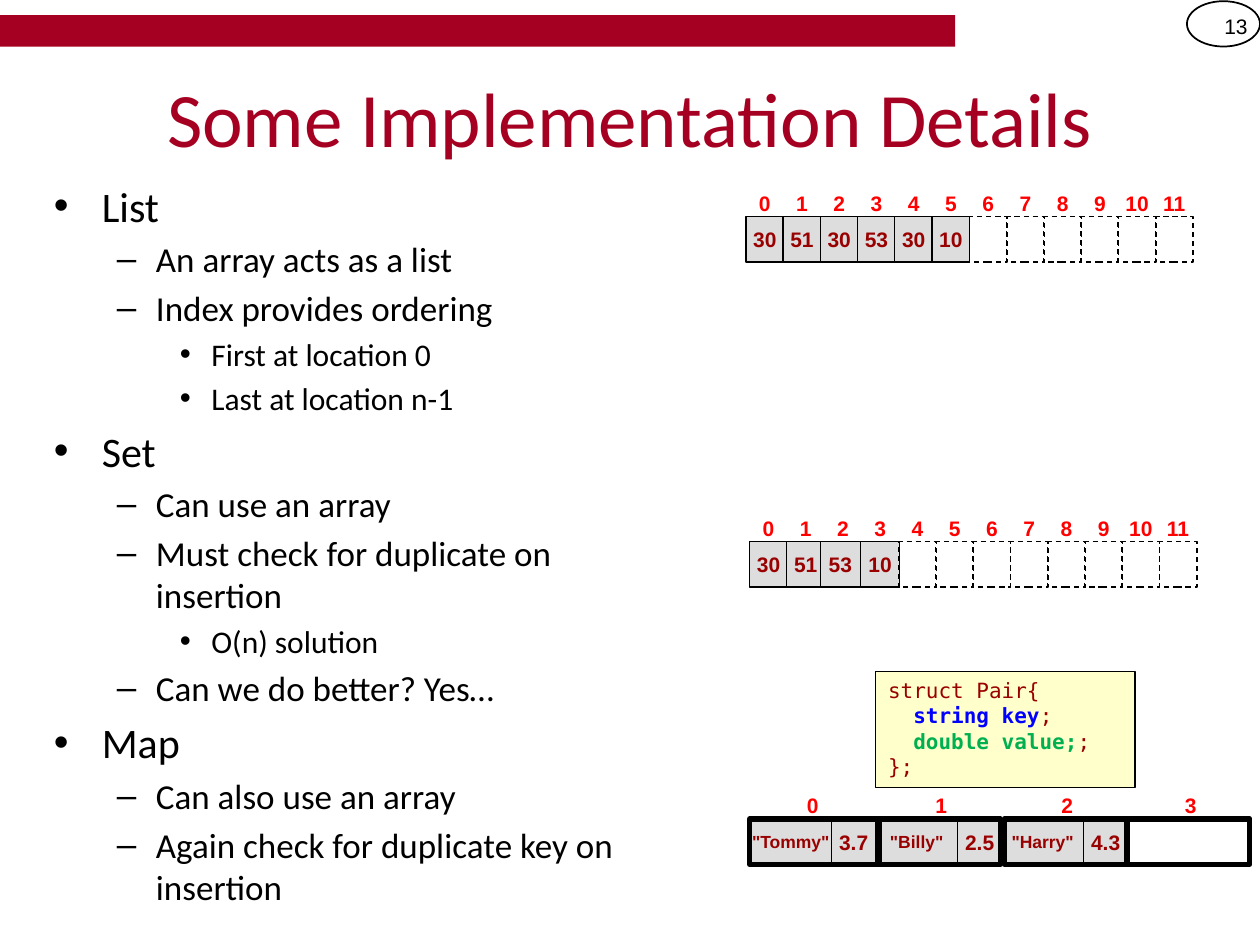
from pptx import Presentation
from pptx.util import Inches, Pt
from pptx.dml.color import RGBColor as RGB
from pptx.enum.shapes import MSO_SHAPE as Shape
from pptx.enum.text import PP_ALIGN as Align, MSO_ANCHOR as Anchor
from pptx.enum.dml import MSO_LINE as Dash
from lxml.etree import SubElement
from pptx.oxml.ns import qn

hues = {"brand": "A50021", "ink": "000000", "cell": "DDDDDD", "value": "990000",
        "index": "FF0000", "note": "FFFFCC", "key": "0000FF", "item": "00B050"}

deck = Presentation()
deck.slide_width, deck.slide_height = Inches(10), Inches(7.5)
slide = deck.slides.add_slide(deck.slide_layouts[6])


def write(par, text, size, hue, name="Arial", bold=False):
    run = par.add_run()
    run.text = text
    form = {"size": Pt(size), "name": name, "bold": bold}
    for key, val in form.items():
        setattr(run.font, key, val)
    run.font.color.rgb = RGB.from_string(hues[hue])


def draw(at, kind=None, fill=None, line=None, dash=None, text=None, size=12,
         hue="value", name="Arial", bold=True, align=Align.CENTER, wrap=False):
    spot = [Inches(val) for val in at]
    if kind is None:
        shape = slide.shapes.add_textbox(*spot)
    else:
        shape = slide.shapes.add_shape(kind, *spot)
        shape.shadow.inherit = False
        if fill:
            shape.fill.solid()
            shape.fill.fore_color.rgb = RGB.from_string(hues[fill])
        else:
            shape.fill.background()
        if line:
            shape.line.color.rgb = RGB.from_string(hues["ink"])
            shape.line.width = Pt(line)
            shape.line.dash_style = dash
        else:
            shape.line.fill.background()
    side, edge = (0.1, 0.05) if wrap else (0, 0)
    form = {"word_wrap": wrap, "vertical_anchor": Anchor.MIDDLE,
            "margin_left": Inches(side), "margin_right": Inches(side),
            "margin_top": Inches(edge), "margin_bottom": Inches(edge)}
    for key, val in form.items():
        setattr(shape.text_frame, key, val)
    if text:
        par = shape.text_frame.paragraphs[0]
        par.alignment = align
        write(par, text, size, hue, name, bold)
    return shape


draw((9.42, 0.01, 0.58, 0.4), text="13", hue="ink", bold=False,
     align=Align.RIGHT, wrap=True)
draw((0, 0.12, 7.58, 0.25), Shape.RECTANGLE, "brand")
draw((9.42, 0.01, 0.58, 0.36), Shape.OVAL, line=1)
draw((0.5, 0.3, 9, 1.25), text="Some Implementation Details", size=44,
     hue="brand", name="Calibri", bold=False, wrap=True)

points = [
    (0, "List"),
    (1, "An array acts as a list"),
    (1, "Index provides ordering"),
    (2, "First at location 0"),
    (2, "Last at location n-1"),
    (0, "Set"),
    (1, "Can use an array"),
    (1, "Must check for duplicate on insertion"),
    (2, "O(n) solution"),
    (1, "Can we do better? Yes…"),
    (0, "Map"),
    (1, "Can also use an array"),
    (1, "Again check for duplicate key on insertion"),
]
ranks = [(24, 0.38, 0.38, "•"), (20, 0.81, 0.31, "–"), (18, 1.25, 0.25, "•")]
body = draw((0.33, 1.38, 5.17, 5.83), wrap=True).text_frame
body.vertical_anchor = Anchor.TOP
for num, (level, text) in enumerate(points):
    size, left, hang, mark = ranks[level]
    par = body.add_paragraph() if num else body.paragraphs[0]
    par.level = level
    par.space_before = Pt(size * 0.2)
    props = par._p.get_or_add_pPr()
    props.set("marL", str(Inches(left)))
    props.set("indent", str(-Inches(hang)))
    SubElement(props, qn("a:buFont")).set("typeface", "Arial")
    SubElement(props, qn("a:buChar")).set("char", mark)
    write(par, text, size, "ink", "Calibri")

step, wide, high = 3.25 / 11, 0.3, 0.36
rows = [
    (5.92, 1.72, ["30", "51", "30", "53", "30", "10"], {}),
    (5.95, 4.3, ["30", "51", "53", "10"], {2: (6.51, 0.32), 3: (6.83, 0.31)}),
]
for left, top, vals, odd in rows:
    for num in range(12):
        x = left + num * step
        draw((x, top - 0.22, wide, 0.22), text=str(num), hue="index")
        if num < len(vals):
            x, span = odd.get(num, (x, wide))
            draw((x, top, span, high), Shape.RECTANGLE, "cell", 0.75, text=vals[num])
        else:
            draw((x, top, wide, high), Shape.RECTANGLE, line=0.75, dash=Dash.DASH)

pairs = [('"Tommy"', "3.7"), ('"Billy"', "2.5"), ('"Harry"', "4.3")]
for num, (key, val) in enumerate(pairs):
    x = 5.95 + num
    draw((x, 6.5, 0.65, high), Shape.RECTANGLE, "cell", 0.75, text=key, size=10)
    draw((x + 0.65, 6.5, 0.35, high), Shape.RECTANGLE, "cell", 0.75, text=val)
frames = [(5.95, 1.03), (6.97, 0.97), (7.97, 0.97), (8.95, 0.97)]
for num, (x, span) in enumerate(frames):
    draw((x, 6.28, 1, 0.22), text=str(num), hue="index")
    draw((x, 6.5, span, high), Shape.RECTANGLE, line=3)

code = [
    [("struct Pair{", "value")],
    [("  ", "value"), ("string key", "key"), (";", "value")],
    [("  ", "value"), ("double value;", "item"), (";", "value")],
    [("};", "value")],
]
note = draw((6.95, 5.33, 2.06, 0.92), Shape.RECTANGLE, "note", 0.75, wrap=True).text_frame
note.vertical_anchor = Anchor.TOP
par = note.paragraphs[0]
par.alignment = Align.LEFT
for num, parts in enumerate(code):
    if num:
        par.add_line_break()
    for text, hue in parts:
        write(par, text, 12, hue, "DejaVu Sans Mono", hue != "value")

deck.save("out.pptx")
